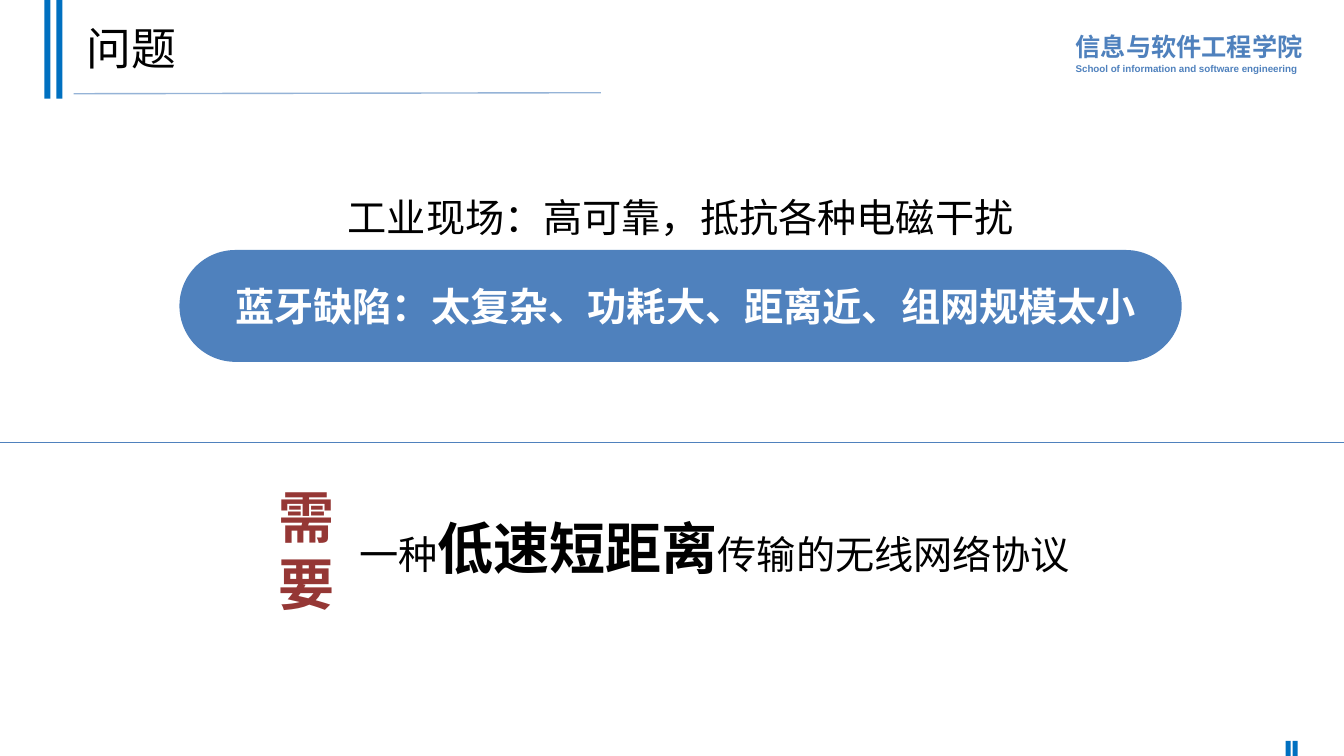
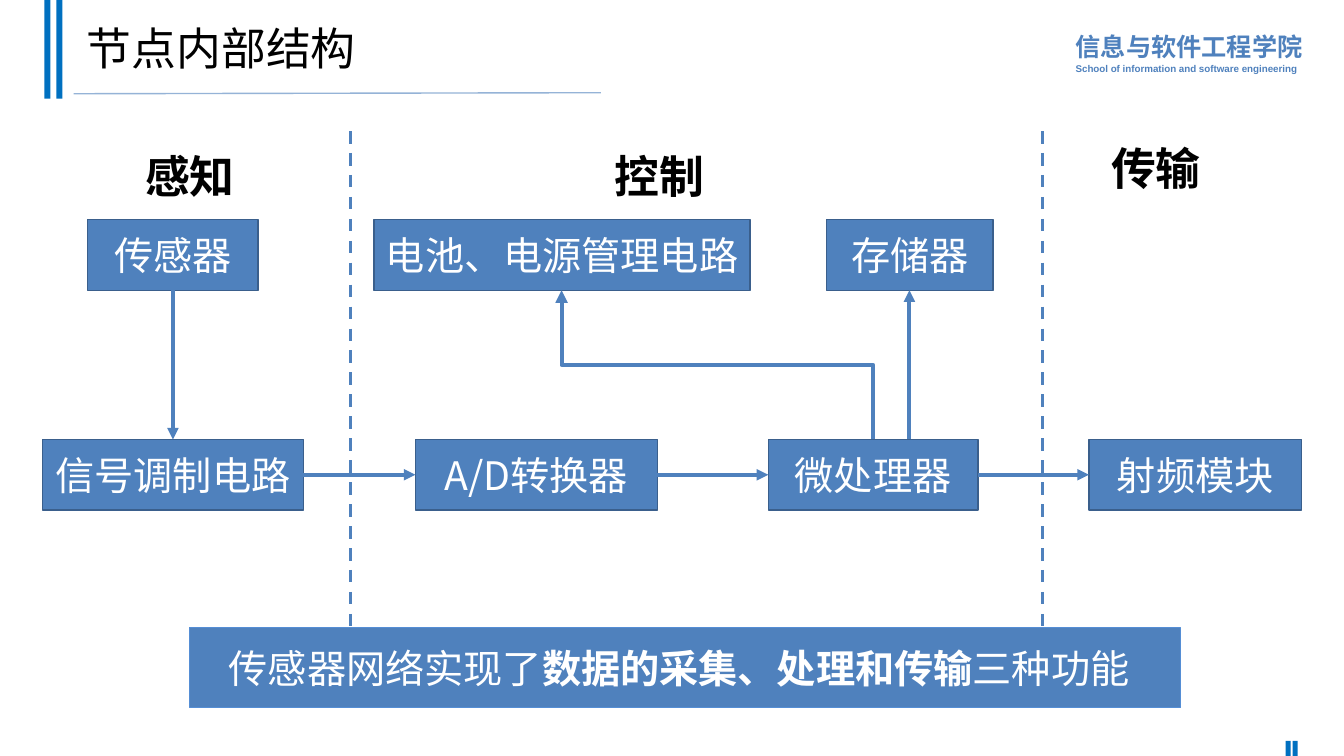
from lxml import etree
from pptx import Presentation
from pptx.dml.color import RGBColor
from pptx.enum.dml import MSO_LINE
from pptx.enum.shapes import MSO_CONNECTOR, MSO_SHAPE
from pptx.enum.text import MSO_ANCHOR, MSO_AUTO_SIZE, PP_ALIGN
from pptx.oxml.ns import qn
from pptx.util import Inches, Pt

RECT, PILL = MSO_SHAPE.RECTANGLE, MSO_SHAPE.ROUNDED_RECTANGLE
STRAIGHT, ELBOW = MSO_CONNECTOR.STRAIGHT, MSO_CONNECTOR.ELBOW
DASH = MSO_LINE.DASH
LEFT, CENTER = PP_ALIGN.LEFT, PP_ALIGN.CENTER
TOP, MIDDLE = MSO_ANCHOR.TOP, MSO_ANCHOR.MIDDLE
FIXED, GROW = MSO_AUTO_SIZE.NONE, MSO_AUTO_SIZE.SHAPE_TO_FIT_TEXT

BLACK = RGBColor(0x00, 0x00, 0x00)
WHITE = RGBColor(0xFF, 0xFF, 0xFF)
BLUE = RGBColor(0x4F, 0x81, 0xBD)
BAND_BLUE = RGBColor(0x00, 0x70, 0xC0)
RULE_BLUE = RGBColor(0x95, 0xB3, 0xD7)
BANNER_EDGE = RGBColor(0x55, 0x8E, 0xD5)
BLOCK_EDGE = RGBColor(0x3A, 0x5F, 0x8C)
RED = RGBColor(0x95, 0x37, 0x35)

CJK, LATIN = "Noto Sans CJK SC", "Arial"
TOP_SITE, LEFT_SITE, BOTTOM_SITE, RIGHT_SITE = range(4)


# Text and shape helpers
def write(frame, *paragraphs, size=28, font=CJK, color=BLACK, bold=False,
          align=CENTER, anchor=TOP, spacing=1.0, auto_size=FIXED, wrap=True,
          insets=(0.1, 0.05, 0.1, 0.05)):
    """Fill a frame; a paragraph is a string or a list of (text, bold, size)."""
    frame.auto_size = auto_size
    frame.word_wrap = wrap
    frame.vertical_anchor = anchor
    (frame.margin_left, frame.margin_top,
     frame.margin_right, frame.margin_bottom) = map(Inches, insets)
    for index, content in enumerate(paragraphs):
        paragraph = frame.paragraphs[0] if index == 0 else frame.add_paragraph()
        paragraph.alignment = align
        paragraph.line_spacing = spacing
        if isinstance(content, str):
            content = [(content, bold, size)]
        for text, run_bold, run_size in content:
            run = paragraph.add_run()
            run.text = text
            run.font.name = font
            run.font.size = Pt(run_size)
            run.font.bold = run_bold
            run.font.color.rgb = color
            east_asian = etree.SubElement(run.font._element, qn("a:ea"))
            east_asian.set("typeface", CJK)


def add_text(slide, box, *paragraphs, **style):
    label = slide.shapes.add_textbox(*map(Inches, box))
    write(label.text_frame, *paragraphs, **style)
    return label


def add_panel(slide, box, fill, kind=RECT, edge=None, edge_width=1):
    panel = slide.shapes.add_shape(kind, *map(Inches, box))
    panel.shadow.inherit = False
    panel.fill.solid()
    panel.fill.fore_color.rgb = fill
    if edge is None:
        panel.line.fill.background()
    else:
        panel.line.color.rgb = edge
        panel.line.width = Pt(edge_width)
    return panel


def add_block(slide, left, top, width, text):
    block = add_panel(slide, (left, top, width, 0.7), BLUE, edge=BLOCK_EDGE)
    write(block.text_frame, text, color=WHITE, anchor=MIDDLE)
    return block


# Line helpers
def add_line(slide, start, end, color=BLUE, width=2.75, kind=STRAIGHT,
             dash=None, arrow=False):
    line = slide.shapes.add_connector(kind, *map(Inches, start + end))
    line.line.color.rgb = color
    line.line.width = Pt(width)
    if dash is not None:
        line.line.dash_style = dash
    if arrow:
        tip = etree.SubElement(line.line._get_or_add_ln(), qn("a:tailEnd"))
        tip.set("type", "triangle")
    etree.SubElement(line.element.spPr, qn("a:effectLst"))
    return line


def join(slide, source, source_site, target, target_site):
    arrow = add_line(slide, (0, 0), (1, 1), arrow=True)
    arrow.begin_connect(source, source_site)
    arrow.end_connect(target, target_site)


def add_rising_elbow(slide, start, end):
    """Arrow going up, then left, then up: an elbow turned by 270 degrees."""
    (x1, y1), (x2, y2) = start, end
    middle_x, middle_y = (x1 + x2) / 2, (y1 + y2) / 2
    half_rise, half_run = (y1 - y2) / 2, (x1 - x2) / 2
    elbow = add_line(slide,
                     (middle_x - half_rise, middle_y + half_run),
                     (middle_x + half_rise, middle_y - half_run),
                     width=3, kind=ELBOW, arrow=True)
    elbow.element.spPr.find(qn("a:xfrm")).set("rot", str(270 * 60000))


# Shared layout: title place, bands, rule and school name
def prepare_layout(layout, slide):
    for placeholder in list(layout.placeholders):
        if placeholder.placeholder_format.idx == 0:
            placeholder.left, placeholder.top = Inches(0.76), Inches(0.07)
            placeholder.width, placeholder.height = Inches(11.5), Inches(0.88)
        else:
            placeholder.element.getparent().remove(placeholder.element)
    school = [[("信息与软件工程学院", True, 18)],
              [("School of information and software engineering", True, 7)]]
    decor = [add_text(slide, (10.57, 0.23, 2.5, 0.56), *school, font=LATIN,
                      color=BLUE, align=LEFT, spacing=1.1, auto_size=GROW)]
    decor += [add_panel(slide, (left, 0, 0.06, 0.98), BAND_BLUE)
              for left in (0.44, 0.56)]
    decor.append(add_line(slide, (0.73, 0.93), (5.96, 0.92), RULE_BLUE, 1))
    decor += [add_panel(slide, (left, 7.35, 0.05, 0.15), BAND_BLUE)
              for left in (12.75, 12.82)]
    for part in decor:
        layout.shapes.element.append(part.element)


def set_title(slide, text):
    write(slide.shapes.title.text_frame, text, size=32, font=LATIN,
          align=LEFT, anchor=MIDDLE, spacing=0.9)


# Slide 1: the problem
def build_problem(slide):
    set_title(slide, "问题")
    add_text(slide, (2.5, 1.87, 8.5, 0.57),
             "工业现场：高可靠，抵抗各种电磁干扰", auto_size=GROW)
    defects = add_panel(slide, (1.78, 2.48, 9.94, 1.11), BLUE, kind=PILL)
    defects.adjustments[0] = 0.5
    write(defects.text_frame, "蓝牙缺陷：太复杂、功耗大、距离近、组网规模太小",
          color=WHITE, bold=True, anchor=MIDDLE, insets=(0.2, 0.05, 0.1, 0.05))
    add_text(slide, (2.84, 5.05, 8.5, 0.77),
             [("一种", False, 28), ("低速短距离", True, 40),
              ("传输的无线网络协议", False, 28)], auto_size=GROW)
    add_text(slide, (2.33, 4.74, 1.41, 1.45), "需", "要",
             size=40, color=RED, bold=True, auto_size=GROW)
    add_line(slide, (0, 4.39), (13.33, 4.39), width=0.5)


# Slide 2: inside a node
def build_node_structure(slide):
    set_title(slide, "节点内部结构")
    for left, top, stage in ((1.1, 1.34, "感知"), (5.76, 1.34, "控制"),
                             (10.68, 1.26, "传输")):
        add_text(slide, (left, top, 1.57, 0.88), stage, size=32, font=LATIN,
                 bold=True, anchor=MIDDLE, spacing=0.9)

    summary = add_panel(slide, (1.88, 6.23, 9.83, 0.79), BLUE,
                        edge=BANNER_EDGE, edge_width=0.75)
    write(summary.text_frame,
          [("传感器网络实现了", False, 28), ("数据的采集、处理和传输", True, 28),
           ("三种功能", False, 28)],
          color=WHITE, align=LEFT, auto_size=GROW, wrap=False,
          insets=(0.39, 0.16, 0.39, 0.16))

    # Two rows of blocks
    upper, lower = 2.18, 4.36
    upper_bottom = upper + 0.7
    sensor = add_block(slide, 0.87, upper, 1.69, "传感器")
    add_block(slide, 3.71, upper, 3.73, "电池、电源管理电路")
    add_block(slide, 8.2, upper, 1.65, "存储器")
    chain = [add_block(slide, left, lower, width, text)
             for left, width, text in ((0.42, 2.59, "信号调制电路"),
                                       (4.12, 2.4, "A/D转换器"),
                                       (7.62, 2.08, "微处理器"),
                                       (10.8, 2.11, "射频模块"))]

    # Signal flow
    join(slide, sensor, BOTTOM_SITE, chain[0], TOP_SITE)
    for source, target in zip(chain, chain[1:]):
        join(slide, source, RIGHT_SITE, target, LEFT_SITE)
    add_line(slide, (9.02, lower), (9.02, upper_bottom), arrow=True)
    add_rising_elbow(slide, (8.66, lower), (5.57, upper_bottom))

    # Borders between the stages
    for x in (3.48, 10.34):
        add_line(slide, (x, 1.3), (x, 6.25), width=2.25, dash=DASH)


def main():
    deck = Presentation()
    deck.slide_width, deck.slide_height = Inches(13.33), Inches(7.5)
    layout = deck.slide_layouts[5]
    problem, structure = (deck.slides.add_slide(layout) for _ in range(2))
    prepare_layout(layout, problem)
    build_problem(problem)
    build_node_structure(structure)
    deck.save("out.pptx")


if __name__ == "__main__":
    main()
